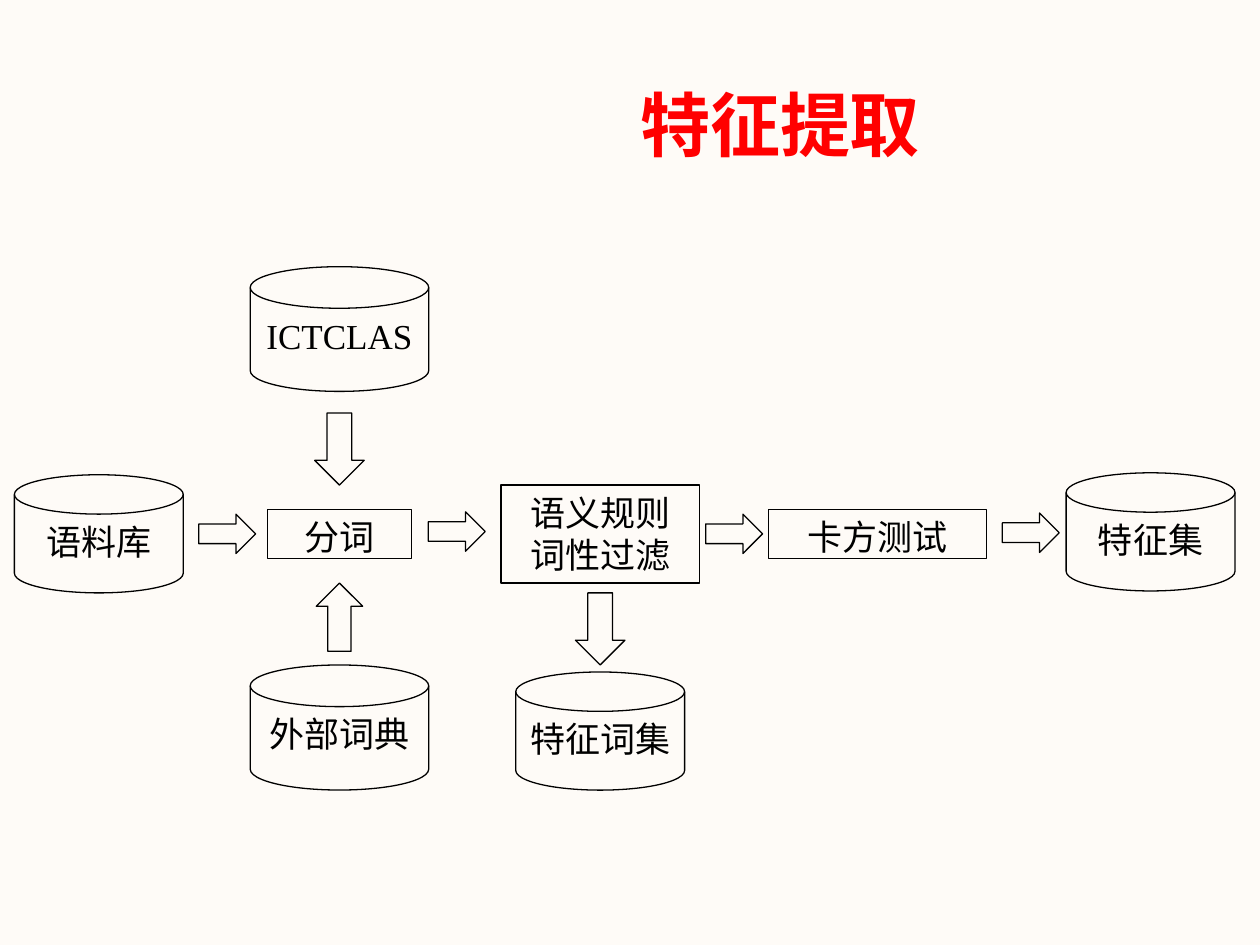
"""Build the feature extraction flow slide."""
from pptx import Presentation
from pptx.dml.color import RGBColor
from pptx.enum.shapes import MSO_SHAPE
from pptx.enum.text import MSO_ANCHOR, PP_ALIGN
from pptx.util import Pt

DISK = MSO_SHAPE.FLOWCHART_MAGNETIC_DISK
BOX = MSO_SHAPE.RECTANGLE
RIGHT = MSO_SHAPE.RIGHT_ARROW
DOWN = MSO_SHAPE.DOWN_ARROW
UP = MSO_SHAPE.UP_ARROW
CENTER = PP_ALIGN.CENTER
TOP = MSO_ANCHOR.TOP
MIDDLE = MSO_ANCHOR.MIDDLE


def color(value):
    return RGBColor.from_string(value)


def write(shape, text, font="Times New Roman", size=20, fill="000000", bold=False, anchor=TOP):
    frame = shape.text_frame
    frame.word_wrap = True
    frame.vertical_anchor = anchor
    for index, line in enumerate(text.split("\n")):
        para = frame.add_paragraph() if index else frame.paragraphs[0]
        para.alignment = CENTER
        span = para.add_run()
        span.text = line
        span.font.name = font
        span.font.size = Pt(size)
        span.font.bold = bold
        span.font.color.rgb = color(fill)


deck = Presentation()
deck.slide_width, deck.slide_height = Pt(720), Pt(540)
page = deck.slides.add_slide(deck.slide_layouts[6])
page.background.fill.solid()
page.background.fill.fore_color.rgb = color("FEFBF7")

title = page.shapes.add_textbox(Pt(178.5), Pt(31.5), Pt(534.5), Pt(78))
write(title, "特征提取", font="Arial", size=40, fill="FF0000", bold=True, anchor=MIDDLE)

# kind, center x, top, width, height, text
flow = [
    (DISK, 56.5, 271.3, 96.5, 67.5, "语料库"),
    (DISK, 194, 152.4, 102, 71.3, "ICTCLAS"),
    (DISK, 194, 380, 102, 71.5, "外部词典"),
    (BOX, 194, 291, 82, 28, "分词"),
    (BOX, 343, 277.2, 113.3, 56, "语义规则\n词性过滤"),
    (BOX, 501.5, 291, 124.6, 28, "卡方测试"),
    (DISK, 657.5, 270.2, 96.5, 67.5, "特征集"),
    (DISK, 343, 384, 96.5, 67.5, "特征词集"),
    (RIGHT, 129.8, 293.8, 32.5, 22.5, ""),
    (RIGHT, 261, 292.5, 32.5, 22.5, ""),
    (RIGHT, 419.5, 293.8, 32.5, 22.5, ""),
    (RIGHT, 589, 293.2, 32.5, 22.5, ""),
    (DOWN, 194, 236, 28.3, 41.2, ""),
    (UP, 194, 333.2, 26.5, 39, ""),
    (DOWN, 343, 338.8, 28.3, 41.2, ""),
]
for kind, center, top, width, height, text in flow:
    shape = page.shapes.add_shape(kind, Pt(center - width / 2), Pt(top), Pt(width), Pt(height))
    shape.shadow.inherit = False
    shape.fill.background()
    shape.line.color.rgb = color("000000")
    shape.line.width = Pt(0.75)
    if text:
        write(shape, text)

deck.save("out.pptx")
